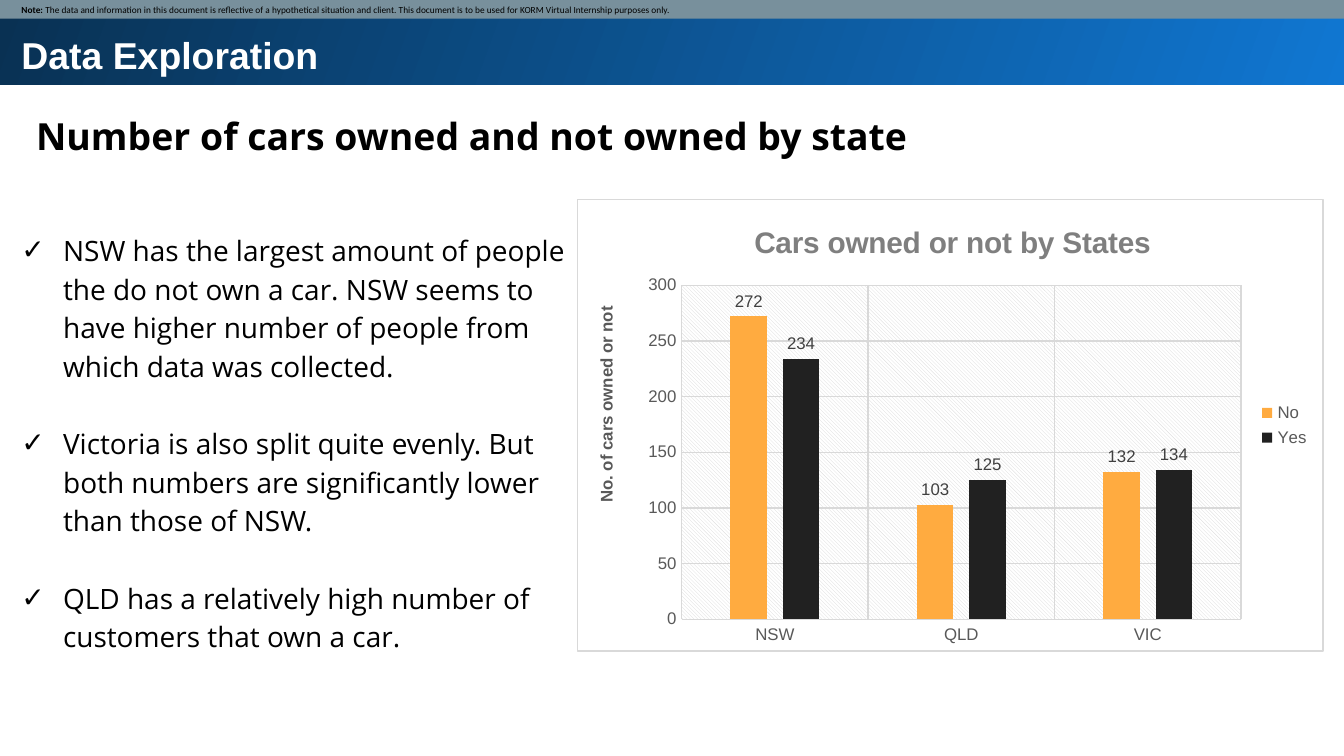
import dataclasses

import pptx
import pptx.chart.data
import pptx.dml.color
import pptx.enum.chart
import pptx.enum.dml
import pptx.enum.shapes
import pptx.enum.text
import pptx.oxml
import pptx.oxml.ns
import pptx.util

Inches = pptx.util.Inches
Pt = pptx.util.Pt
qn = pptx.oxml.ns.qn


@dataclasses.dataclass(frozen=True)
class Theme:
    """Colours, fonts and type sizes of the deck."""
    white: str = "FFFFFF"
    black: str = "000000"
    blue: str = "1077D2"
    navy: str = "093153"
    slate: str = "78909C"
    orange: str = "FFAB40"
    charcoal: str = "212121"
    rule: str = "D9D9D9"
    axis: str = "595959"
    label: str = "404040"
    chart_title: str = "7F7F7F"
    heading_font: str = "Arial"
    body_font: str = "Open Sans"
    note_font: str = "Calibri"
    heading_size: float = 20
    body_size: float = 15
    chart_title_size: float = 16
    chart_size: float = 9
    note_size: float = 5
    line_spacing: float = 1.15
    paragraph_gap: float = 20.7


@dataclasses.dataclass(frozen=True)
class Box:
    """A region of the slide in inches."""
    left: float
    top: float
    width: float
    height: float

    def lengths(self):
        """Return the four lengths as EMU values."""
        return [Inches(value) for value in dataclasses.astuple(self)]


THEME = Theme()


def rgb(value):
    """Turn a hex string into a colour."""
    return pptx.dml.color.RGBColor.from_string(value)


def style_font(font, name, size, color, bold=False):
    """Apply typeface, size, colour and weight."""
    font.name, font.size, font.bold = name, Pt(size), bold
    font.color.rgb = rgb(color)


def add_run(paragraph, text, *style):
    """Append one styled run."""
    run = paragraph.add_run()
    run.text = text
    style_font(run.font, *style)


def prepare_frame(shape, box, margin=0.1):
    """Place a text shape and return its top-anchored frame."""
    shape.left, shape.top, shape.width, shape.height = box.lengths()
    frame = shape.text_frame
    frame.word_wrap = True
    frame.auto_size = pptx.enum.text.MSO_AUTO_SIZE.NONE
    frame.vertical_anchor = pptx.enum.text.MSO_ANCHOR.TOP
    frame.margin_left = frame.margin_right = Inches(margin)
    frame.margin_top = frame.margin_bottom = Inches(margin)
    frame.paragraphs[0].alignment = pptx.enum.text.PP_ALIGN.LEFT
    return frame


def add_bar(slide, box):
    """Add a plain rectangle without line or shadow."""
    bar = slide.shapes.add_shape(pptx.enum.shapes.MSO_SHAPE.RECTANGLE, *box.lengths())
    bar.shadow.inherit = False
    bar.line.fill.background()
    return bar


def build_banner(slide, box, text):
    """Draw the gradient band with the slide title on it."""
    band = add_bar(slide, box)
    band.fill.gradient()
    band.fill.gradient_angle = 160
    for stop, color in zip(band.fill.gradient_stops, (THEME.blue, THEME.navy)):
        stop.color.rgb = rgb(color)
    title = slide.shapes.title
    title.element.addprevious(band.element)
    frame = prepare_frame(title, Box(box.left + 0.08, box.top + 0.01, 9.37, 0.51))
    add_run(frame.paragraphs[0], text, THEME.heading_font, THEME.heading_size, THEME.white, True)


def build_heading(slide, box, text):
    """Write the heading below the banner."""
    frame = prepare_frame(slide.shapes.add_textbox(*box.lengths()), box)
    frame.paragraphs[0].line_spacing = THEME.line_spacing
    add_run(frame.paragraphs[0], text, THEME.body_font, THEME.heading_size, THEME.black, True)


def build_findings(slide, box, findings):
    """Fill the body placeholder with ticked findings."""
    frame = prepare_frame(slide.placeholders[1], box)
    for index, finding in enumerate(findings):
        paragraph = frame.add_paragraph() if index else frame.paragraphs[0]
        paragraph.line_spacing = THEME.line_spacing
        paragraph.space_before = Pt(THEME.paragraph_gap if index else 0)
        add_run(paragraph, finding, THEME.body_font, THEME.body_size, THEME.black)
        properties = paragraph._p.get_or_add_pPr()
        properties.set("marL", str(Inches(0.31)))
        properties.set("indent", str(-Inches(0.31)))
        properties.append(build_xml('<a:buChar {ns} char="✓"/>'))


def build_note(slide, box, label, text):
    """Draw the disclaimer strip along the top edge."""
    strip = add_bar(slide, box)
    strip.fill.solid()
    strip.fill.fore_color.rgb = rgb(THEME.slate)
    frame = prepare_frame(strip, box, 0.05)
    frame.margin_left = Inches(0.16)
    frame.vertical_anchor = pptx.enum.text.MSO_ANCHOR.MIDDLE
    for words, bold in ((label, True), (text, False)):
        add_run(frame.paragraphs[0], words, THEME.note_font, THEME.note_size, THEME.black, bold)


def build_xml(markup):
    """Build an element with the drawing and chart namespaces filled in."""
    return pptx.oxml.parse_xml(markup.replace("{ns}", pptx.oxml.ns.nsdecls("a", "c")))


def set_layout(element, target="", **fractions):
    """Fix the place of a chart part in fractions of the chart."""
    modes = "".join(f'<c:{key}Mode val="edge"/>' for key in "xy")
    values = "".join(f'<c:{key} val="{value}"/>' for key, value in fractions.items())
    layout = build_xml(f"<c:layout {{ns}}><c:manualLayout>{target}{modes}{values}</c:manualLayout></c:layout>")
    existing = element.find(qn("c:layout"))
    if existing is None:
        element.insert(0, layout)
    else:
        element.replace(existing, layout)


def set_title(owner, text, size, color, **place):
    """Give a chart or an axis its title."""
    owner.has_title = True
    title = owner.chart_title if hasattr(owner, "chart_title") else owner.axis_title
    add_run(title.text_frame.paragraphs[0], text, THEME.heading_font, size, color, True)
    set_layout(title._element, **place)


def paint_chart(chart):
    """Set the frame, the hatched plot area and its position."""
    border = f'<a:ln w="9525"><a:solidFill><a:srgbClr val="{THEME.rule}"/></a:solidFill></a:ln>'
    area = f'<a:solidFill><a:srgbClr val="{THEME.white}"/></a:solidFill>'
    hatch = (f'<a:pattFill prst="ltDnDiag"><a:fgClr><a:srgbClr val="{THEME.rule}"/></a:fgClr>'
             f'<a:bgClr><a:srgbClr val="{THEME.white}"/></a:bgClr></a:pattFill>')
    body = chart.element.find(qn("c:chart"))
    body.addnext(build_xml(f"<c:spPr {{ns}}>{area}{border}</c:spPr>"))
    chart.element.find(qn("c:date1904")).addnext(build_xml('<c:roundedCorners {ns} val="0"/>'))
    plot_area = body.find(qn("c:plotArea"))
    plot_area.append(build_xml(f"<c:spPr {{ns}}>{hatch}<a:ln><a:noFill/></a:ln></c:spPr>"))
    set_layout(plot_area, '<c:layoutTarget val="inner"/>', x=0.14, y=0.19, w=0.75, h=0.74)


def build_chart(slide, box, categories, groups):
    """Add the clustered column chart of car ownership."""
    data = pptx.chart.data.CategoryChartData()
    data.categories = categories
    for name, values, _ in groups:
        data.add_series(name, values)
    kind = pptx.enum.chart.XL_CHART_TYPE.COLUMN_CLUSTERED
    chart = slide.shapes.add_chart(kind, *box.lengths(), data).chart
    style_font(chart.font, THEME.heading_font, THEME.chart_size, THEME.axis)
    set_title(chart, "Cars owned or not by States", THEME.chart_title_size, THEME.chart_title, x=0.23, y=0.04)
    set_title(chart.value_axis, "No. of cars owned or not", THEME.chart_size, THEME.axis, x=0.02, y=0.23)
    for axis in (chart.category_axis, chart.value_axis):
        axis.has_major_gridlines = True
        axis.major_tick_mark = pptx.enum.chart.XL_TICK_MARK.NONE
        for line in (axis.format.line, axis.major_gridlines.format.line):
            line.color.rgb = rgb(THEME.rule)
            line.width = Pt(0.75)
        style_font(axis.tick_labels.font, THEME.heading_font, THEME.chart_size, THEME.axis)
    scale = chart.value_axis
    scale.format.line.fill.background()
    scale.minimum_scale, scale.maximum_scale, scale.major_unit = 0, 300, 50
    chart.has_legend = True
    chart.legend.position = pptx.enum.chart.XL_LEGEND_POSITION.RIGHT
    chart.legend.include_in_layout = False
    style_font(chart.legend.font, THEME.heading_font, THEME.chart_size, THEME.axis)
    plot = chart.plots[0]
    plot.gap_width, plot.overlap, plot.vary_by_categories = 267, -43, False
    for series, (_, _, color) in zip(plot.series, groups):
        series.format.fill.solid()
        series.format.fill.fore_color.rgb = rgb(color)
        labels = series.data_labels
        labels.show_value = True
        labels.position = pptx.enum.chart.XL_LABEL_POSITION.OUTSIDE_END
        style_font(labels.font, THEME.heading_font, THEME.chart_size, THEME.label)
    paint_chart(chart)


def main():
    """Build the slide and save the presentation."""
    presentation = pptx.Presentation()
    presentation.slide_width = Inches(10)
    presentation.slide_height = presentation.slide_width * 9 // 16
    slide = presentation.slides.add_slide(presentation.slide_layouts[1])
    build_banner(slide, Box(-0.02, 0.13, 10.05, 0.5), "Data Exploration")
    build_heading(slide, Box(0.17, 0.69, 9.37, 0.56), "Number of cars owned and not owned by state")
    build_findings(slide, Box(0.06, 1.6, 4.33, 3.37), (
        "NSW has the largest amount of people the do not own a car. NSW seems to have higher "
        "number of people from which data was collected.",
        "Victoria is also split quite evenly. But both numbers are significantly lower than those of NSW.",
        "QLD has a relatively high number of customers that own a car."))
    build_note(slide, Box(0, 0, 10.03, 0.14), "Note: ", (
        "The data and information in this document is reflective of a hypothetical situation and client. "
        "This document is to be used for KORM Virtual Internship purposes only."))
    build_chart(slide, Box(4.29, 1.48, 5.56, 3.37), ("NSW", "QLD", "VIC"), (
        ("No", (272, 103, 132), THEME.orange), ("Yes", (234, 125, 134), THEME.charcoal)))
    presentation.save("out.pptx")


if __name__ == "__main__":
    main()
